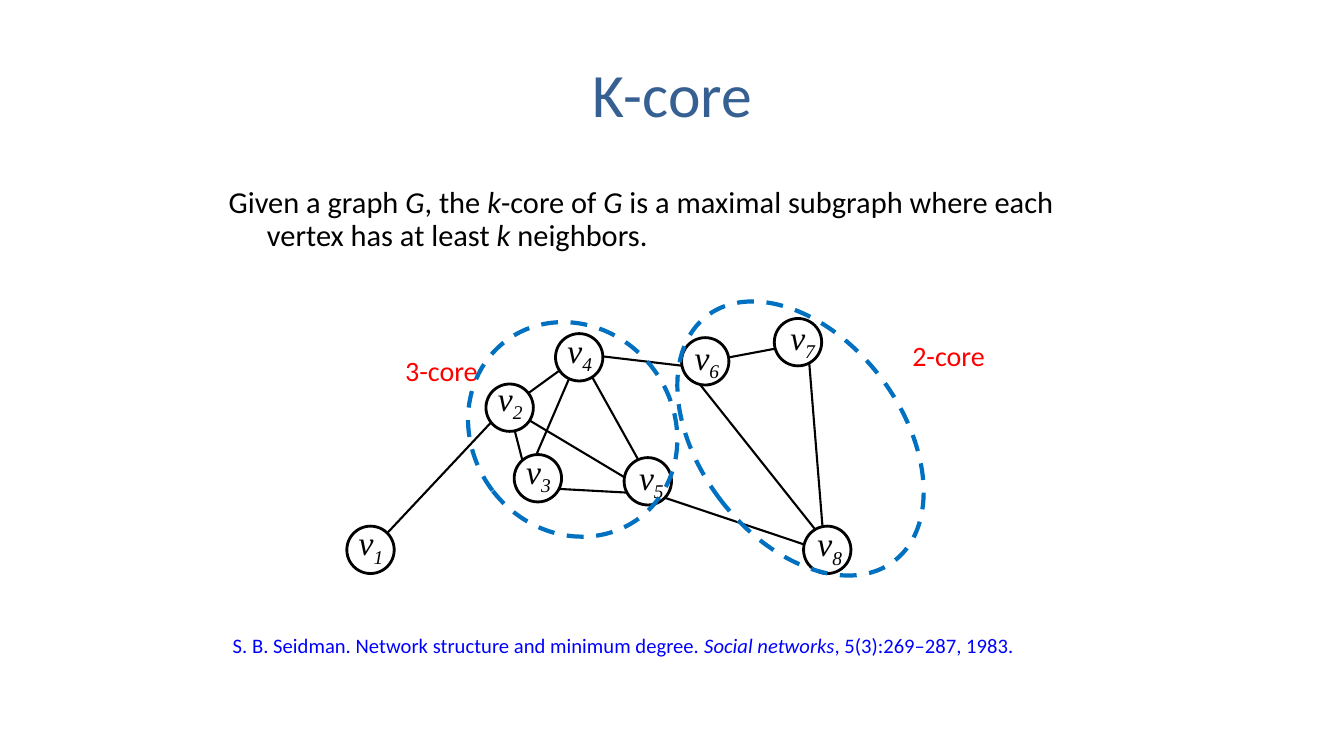
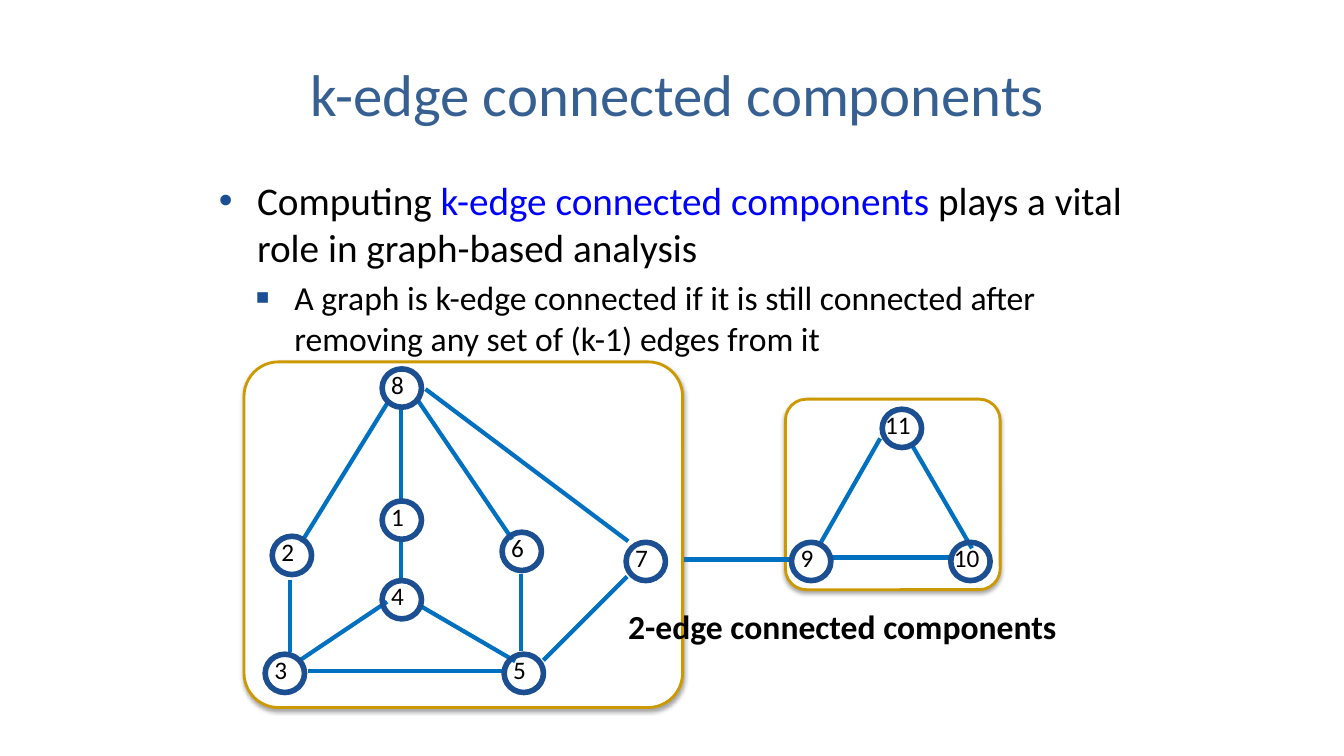
import pptx
import pptx.dml.color
import pptx.enum.dml
import pptx.enum.shapes
import pptx.enum.text
import pptx.oxml.ns
import pptx.util
from lxml import etree

Inches, Pt = pptx.util.Inches, pptx.util.Pt
RGBColor = pptx.dml.color.RGBColor
SHAPE = pptx.enum.shapes.MSO_SHAPE
qn = pptx.oxml.ns.qn

# Shared look
BLACK = RGBColor(0x00, 0x00, 0x00)
WHITE = RGBColor(0xFF, 0xFF, 0xFF)
TITLE_BLUE = RGBColor(0x37, 0x60, 0x92)
LINK_BLUE = RGBColor(0x00, 0x00, 0xFF)
EDGE_BLUE = RGBColor(0x00, 0x70, 0xC0)
NODE_BLUE = RGBColor(0x1B, 0x4F, 0x91)
GOLD = RGBColor(0xCC, 0x99, 0x00)
RED = RGBColor(0xFF, 0x00, 0x00)
FONT = "Calibri"
MATH_FONT = "Times New Roman"
ITALIC = {"italic": True}
HANG = 0.38

# Slide 1 content
CORE_DEFINITION = [
    "Given a graph ", ("G", ITALIC), ", the ", ("k", ITALIC), "-core of ", ("G", ITALIC),
    " is a maximal subgraph where each vertex has at least ", ("k", ITALIC), " neighbors.",
]
CITATION = [
    "S. B. Seidman. Network structure and minimum degree. ",
    ("Social networks", ITALIC), ", 5(3):269–287, 1983.",
]
VERTEX_SIZE = 0.47
VERTICES = [  # number, vertex corner, label corner
    (1, (3.44, 5.22), (3.46, 5.13)),
    (2, (4.82, 3.81), (4.84, 3.70)),
    (3, (5.10, 4.51), (5.12, 4.42)),
    (4, (5.51, 3.31), (5.53, 3.22)),
    (5, (6.19, 4.54), (6.24, 4.48)),
    (6, (6.76, 3.35), (6.79, 3.29)),
    (7, (7.68, 3.16), (7.74, 3.09)),
    (8, (7.97, 5.22), (8.01, 5.14)),
]
VERTEX_EDGES = [
    ((5.75, 3.52), (6.38, 4.65)),
    ((6.47, 4.90), (5.05, 4.05)),
    ((5.75, 3.53), (5.09, 4.01)),
    ((6.46, 4.90), (5.35, 4.84)),
    ((5.04, 4.01), (3.68, 5.46)),
    ((5.75, 3.51), (5.26, 4.65)),
    ((5.05, 4.06), (5.20, 4.64)),
    ((6.51, 4.91), (8.15, 5.46)),
    ((6.78, 3.63), (5.76, 3.51)),
    ((6.78, 3.63), (7.95, 3.41)),
    ((8.25, 5.46), (6.78, 3.61)),
    ((8.19, 5.62), (8.01, 3.40)),
]
CORES = [  # name, name corner, outline
    ("3-core", (3.92, 3.46), (4.68, 3.16, 2, 2.2)),
    ("2-core", (8.95, 3.31), (6.94, 2.82, 2, 3.06)),
]
CORE_TILT = 322.7

# Slide 2 content
CONNECTIVITY = [
    {"runs": ["Computing ", ("k-edge connected components ", {"color": LINK_BLUE}),
              "plays a vital role in graph-based analysis"],
     "size": 28, "indent": HANG, "bullet": "•"},
    {"runs": ["A graph is k-edge connected if it is still connected after "
              "removing any set of (k-1) edges from it"],
     "size": 24, "indent": 0.75, "level": 1, "bullet": "■", "bullet_size": 65, "before": 4.8},
]
COMPONENTS = [  # frame, corner rounding
    ((7.79, 3.96, 2.13, 1.89), 0.11),
    ((2.42, 3.59, 4.35, 3.43), 0.1),
]
NODE_WIDTH, NODE_HEIGHT = 0.39, 0.38
NODES = {
    11: (8.75, 4.06), 9: (7.85, 5.38), 10: (9.43, 5.38),
    2: (2.70, 5.32), 1: (3.79, 4.97), 6: (4.98, 5.28), 8: (3.79, 3.66),
    7: (6.21, 5.38), 3: (2.63, 6.49), 4: (3.79, 5.76), 5: (5.00, 6.49),
}
NODE_EDGES = [
    ((6.78, 5.55), (7.83, 5.55)),  # bridge between the components
    ((8.73, 4.35), (8.12, 5.42)),
    ((9.03, 4.39), (9.64, 5.44)),
    ((9.42, 5.53), (8.22, 5.53)),
    ((2.88, 5.75), (2.88, 6.47)),
    ((4.15, 3.98), (5.08, 5.35)),
    ((3.05, 6.66), (4.99, 6.66)),
    ((3.98, 4.04), (3.98, 4.98)),
    ((3.98, 5.73), (3.98, 5.36)),
    ((5.11, 6.56), (4.15, 6.00)),
    ((3.84, 5.97), (2.96, 6.56)),
    ((2.99, 5.38), (3.86, 3.97)),
    ((5.39, 6.55), (6.22, 5.72)),
    ((4.22, 3.86), (6.23, 5.37)),
    ((5.17, 5.69), (5.17, 6.46)),
]


def add_bullet(properties, bullet, percent):
    """Give a paragraph its coloured bullet."""
    color = etree.SubElement(properties, qn("a:buClr"))
    etree.SubElement(color, qn("a:srgbClr"), val=str(NODE_BLUE))
    etree.SubElement(properties, qn("a:buSzPct"), val=str(percent * 1000))
    etree.SubElement(properties, qn("a:buFont"), typeface="Arial")
    etree.SubElement(properties, qn("a:buChar"), char=bullet)


def add_text(slide, box, paragraphs, inset=(0.1, 0.05), wrap=True, anchor="TOP", **shared):
    """Add a text box; paragraphs and runs may override the shared format."""
    frame = slide.shapes.add_textbox(*map(Inches, box)).text_frame
    frame.word_wrap = wrap
    frame.vertical_anchor = getattr(pptx.enum.text.MSO_ANCHOR, anchor)
    frame.margin_left = frame.margin_right = Inches(inset[0])
    frame.margin_top = frame.margin_bottom = Inches(inset[1])
    if isinstance(paragraphs, str):
        paragraphs = [{"runs": [paragraphs]}]
    for index, content in enumerate(paragraphs):
        paragraph = frame.add_paragraph() if index else frame.paragraphs[0]
        look = {"size": 18, "color": BLACK, "font": FONT, **shared, **content}
        properties = paragraph._p.get_or_add_pPr()
        if "indent" in look:
            properties.set("marL", str(Inches(look["indent"])))
            properties.set("indent", str(-Inches(HANG)))
        if "bullet" in look:
            add_bullet(properties, look["bullet"], look.get("bullet_size", 100))
        paragraph.level = look.get("level", 0)
        paragraph.alignment = getattr(pptx.enum.text.PP_ALIGN, look.get("align", "LEFT"))
        if "before" in look:
            paragraph.space_before = Pt(look["before"])
        if "spacing" in look:
            paragraph.line_spacing = look["spacing"]
        for piece in look["runs"]:
            words, override = (piece, {}) if isinstance(piece, str) else piece
            style = {**look, **override}
            run = paragraph.add_run()
            run.text = words
            run.font.name = style["font"]
            run.font.size = Pt(style["size"])
            run.font.color.rgb = style["color"]
            run.font.bold = style.get("bold", False)
            run.font.italic = style.get("italic", False)
            if "baseline" in style:
                run._r.get_or_add_rPr().set("baseline", str(style["baseline"] * 1000))


def add_title(slide, title, size, left=2.17):
    add_text(slide, (left, 0.3, 9, 1.25), title, anchor="MIDDLE", align="CENTER",
             size=size, color=TITLE_BLUE)


def add_outline(slide, preset, box, color, width, fill=None):
    shape = slide.shapes.add_shape(preset, *map(Inches, box))
    shape.shadow.inherit = False
    if fill is None:
        shape.fill.background()
    else:
        shape.fill.solid()
        shape.fill.fore_color.rgb = fill
    shape.line.color.rgb = color
    shape.line.width = Pt(width)
    return shape


def add_edges(slide, edges, color, width):
    for start, end in edges:
        edge = slide.shapes.add_connector(
            pptx.enum.shapes.MSO_CONNECTOR.STRAIGHT, *map(Inches, start + end))
        edge.line.color.rgb = color
        edge.line.width = Pt(width)
        etree.SubElement(edge._element.spPr, qn("a:effectLst"))


def add_soft_shadow(shape):
    effects = shape._element.spPr.find(qn("a:effectLst"))
    shadow = etree.SubElement(effects, qn("a:outerShdw"), blurRad=str(Pt(3)),
                              dist=str(Pt(1.8)), dir="5400000", rotWithShape="0")
    color = etree.SubElement(shadow, qn("a:srgbClr"), val=str(BLACK))
    etree.SubElement(color, qn("a:alpha"), val="35000")


def build_core_slide(slide):
    add_title(slide, "K-core", 44)
    add_text(slide, (2.17, 1.75, 9, 0.9), [{"runs": CORE_DEFINITION}], inset=(0.1, 0.1),
             size=21.7, indent=HANG, spacing=0.92)
    add_text(slide, (2.21, 6.23, 8.9, 0.35), [{"runs": CITATION}], size=14.7, color=LINK_BLUE)

    # Graph
    add_edges(slide, VERTEX_EDGES, BLACK, 1.5)
    for _, corner, _ in VERTICES:
        add_outline(slide, SHAPE.OVAL, corner + (VERTEX_SIZE, VERTEX_SIZE), BLACK, 2, WHITE)
    for number, _, corner in VERTICES:
        add_text(slide, corner + (0.46, 0.5), [{"runs": ["v", (str(number), {"baseline": -25})]}],
                 wrap=False, size=24, font=MATH_FONT, italic=True)

    # Cores
    for name, corner, outline in CORES:
        core = add_outline(slide, SHAPE.OVAL, outline, EDGE_BLUE, 3)
        core.rotation = CORE_TILT
        core.line.dash_style = pptx.enum.dml.MSO_LINE.DASH
        add_text(slide, corner + (3.3, 0.44), name, size=20, color=RED)


def build_components_slide(slide):
    add_title(slide, "k-edge connected components", 42, left=2.22)
    add_text(slide, (2.17, 1.75, 9, 1.8), CONNECTIVITY, inset=(0, 0))

    # Component frames
    for box, rounding in COMPONENTS:
        component = add_outline(slide, SHAPE.ROUNDED_RECTANGLE, box, GOLD, 2, WHITE)
        component.adjustments[0] = rounding
        add_soft_shadow(component)
    add_text(slide, (6.23, 6.01, 5.11, 0.4), "2-edge connected components",
             inset=(0, 0), size=24, bold=True)

    # Graph
    add_edges(slide, NODE_EDGES, EDGE_BLUE, 3)
    for number, (left, top) in NODES.items():
        add_outline(slide, SHAPE.OVAL, (left, top, NODE_WIDTH, NODE_HEIGHT), NODE_BLUE, 4)
        shift = 0.09 if number < 10 else 0.03
        add_text(slide, (left + shift, top, NODE_WIDTH, 0.3), str(number), inset=(0, 0))


def main():
    deck = pptx.Presentation()
    deck.slide_width, deck.slide_height = Inches(13.33), Inches(7.5)
    for build in (build_core_slide, build_components_slide):
        build(deck.slides.add_slide(deck.slide_layouts[6]))
    deck.save("out.pptx")


if __name__ == "__main__":
    main()
